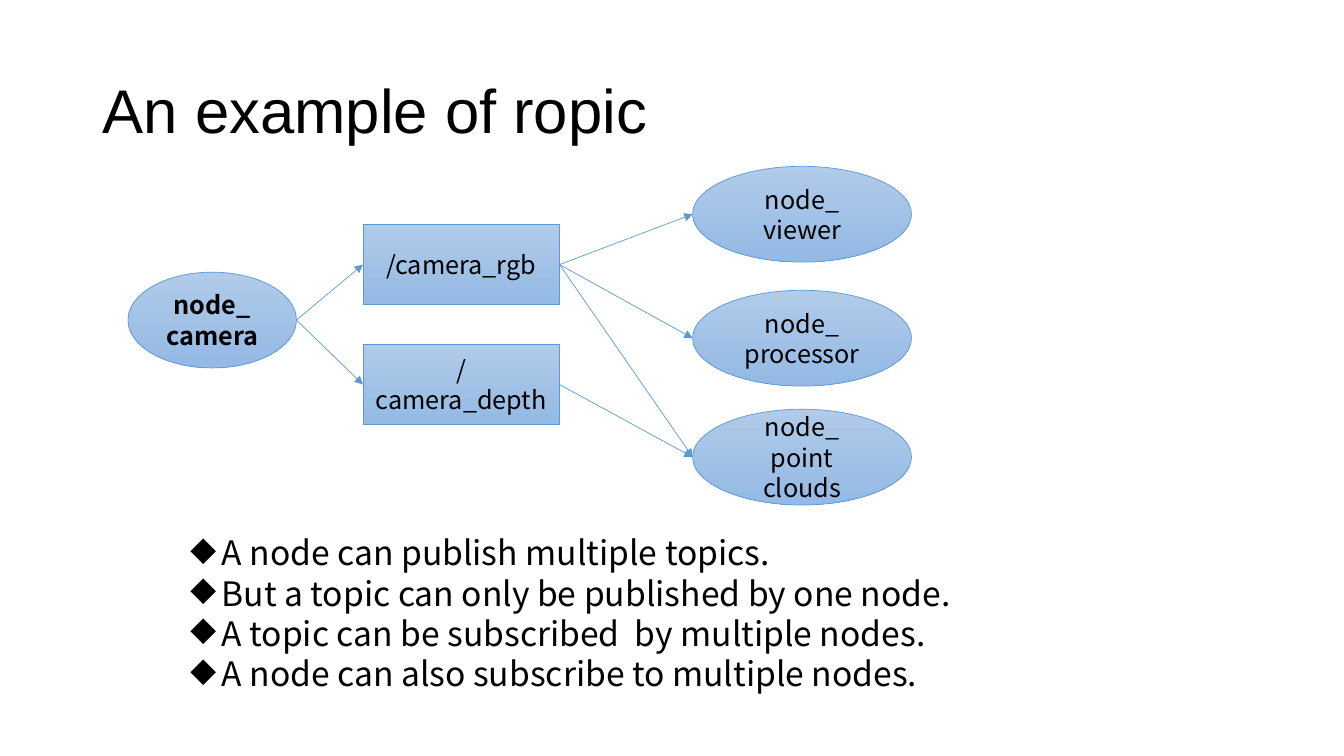
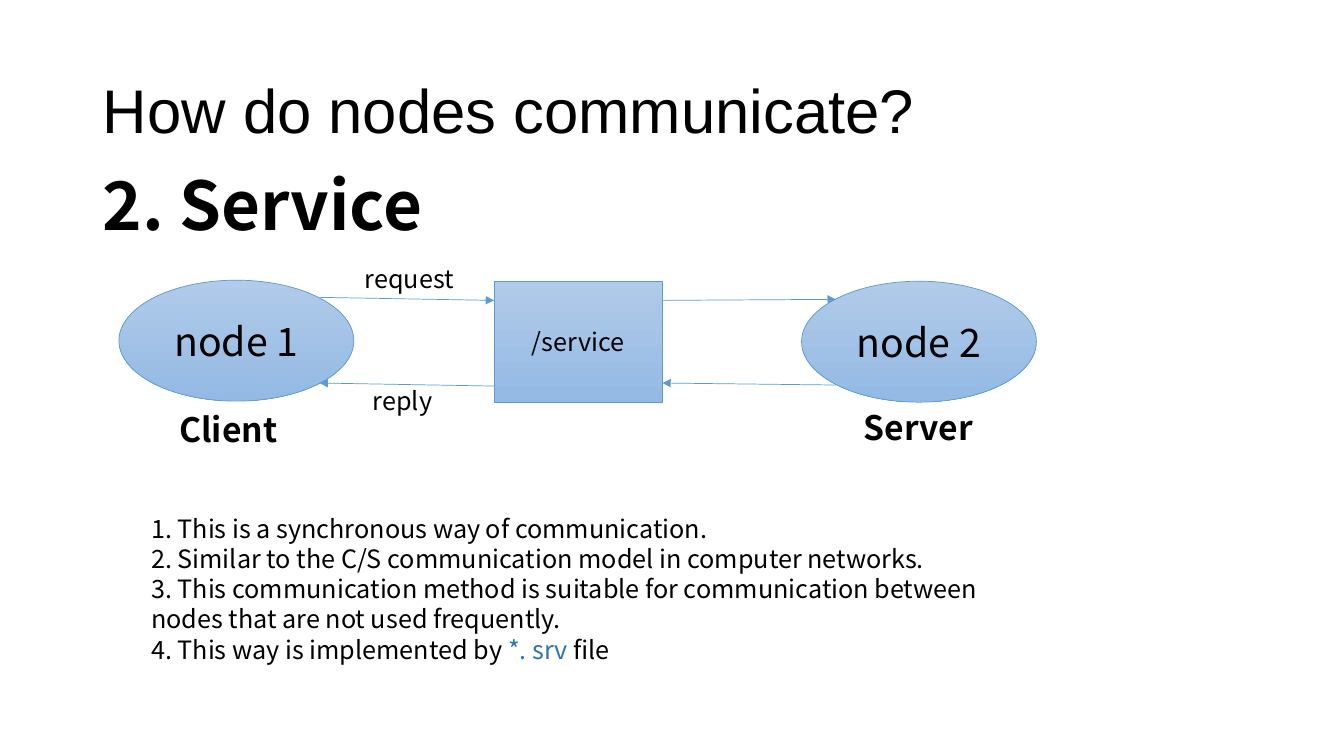
from itertools import cycle

from lxml.etree import SubElement
from pptx import Presentation
from pptx.dml.color import RGBColor
from pptx.enum.shapes import MSO_CONNECTOR as LINK, MSO_SHAPE as SHAPE
from pptx.enum.text import MSO_ANCHOR as ANCHOR, PP_ALIGN as ALIGN
from pptx.oxml.ns import qn
from pptx.util import Inches, Pt

BLACK = RGBColor(0x00, 0x00, 0x00)
BLUE = RGBColor(0x2E, 0x75, 0xB6)
EDGE = RGBColor(0x5B, 0x9B, 0xD5)
LIGHT = RGBColor(0xB1, 0xCB, 0xE9)
DARK = RGBColor(0x93, 0xB9, 0xE4)
SANS = "Noto Sans CJK SC"


def write(frame, *lines, size=18, font=SANS, bold=False, align=ALIGN.LEFT,
          anchor=ANCHOR.TOP, space=None, bullet=None):
    """Write one paragraph per line; a tuple's parts alternate black and blue."""
    frame.word_wrap = True
    frame.vertical_anchor = anchor
    for i, line in enumerate(lines):
        para = frame.add_paragraph() if i else frame.paragraphs[0]
        para.alignment = align
        if space:
            para.line_spacing = space
        if bullet:
            props = para._p.get_or_add_pPr()
            props.set("marL", str(Inches(0.31)))
            props.set("indent", str(-Inches(0.31)))
            SubElement(props, qn("a:buChar"), char=bullet)
        parts = line if isinstance(line, tuple) else (line,)
        for part, color in zip(parts, cycle((BLACK, BLUE))):
            run = para.add_run()
            run.text = part
            run.font.name = font
            run.font.size = Pt(size)
            run.font.bold = bold
            run.font.color.rgb = color


def node(slide, kind, x, y, w, h, *lines, **style):
    """Draw a shaded shape with centred text."""
    shape = slide.shapes.add_shape(
        kind, Inches(x), Inches(y), Inches(w), Inches(h))
    shape.shadow.inherit = False
    shape.fill.gradient()
    shape.fill.gradient_angle = 270
    for stop, color in zip(shape.fill.gradient_stops, (LIGHT, DARK)):
        stop.color.rgb = color
    shape.line.color.rgb = EDGE
    shape.line.width = Pt(0.5)
    write(shape.text_frame, *lines, align=ALIGN.CENTER,
          anchor=ANCHOR.MIDDLE, **style)
    return shape


deck = Presentation()
deck.slide_width, deck.slide_height = Inches(13.33), Inches(7.5)

# Titles
slides = []
for text in ("An example of ropic", "How do nodes communicate?"):
    slide = deck.slides.add_slide(deck.slide_layouts[5])
    title = slide.shapes.title
    title.left, title.top = Inches(0.92), Inches(0.4)
    title.width, title.height = Inches(11.5), Inches(1.45)
    write(title.text_frame, text, size=44, font="Arial",
          anchor=ANCHOR.MIDDLE, space=0.9)
    slides.append(slide)
topic, service = slides
arrows = []

# Topic graph
camera = node(topic, SHAPE.OVAL, 1.27, 2.7, 1.67, 0.95,
              "node_", "camera", bold=True)
rgb, depth = boxes = [
    node(topic, SHAPE.RECTANGLE, 3.6, y, 1.95, 0.79, name)
    for y, name in ((2.23, "/camera_rgb"), (3.42, "/camera_depth"))]
viewer, worker, clouds = [
    node(topic, SHAPE.OVAL, 6.87, y, 2.17, 0.95, "node_", name)
    for y, name in ((1.65, "viewer"), (2.88, "processor"),
                    (4.06, "point clouds"))]

for src, dst in ((camera, rgb), (camera, depth), (rgb, viewer),
                 (rgb, worker), (rgb, clouds), (depth, clouds)):
    arrow = topic.shapes.add_connector(
        LINK.STRAIGHT, src.left + src.width, src.top + src.height // 2,
        dst.left, dst.top + dst.height // 2)
    if src in boxes:
        arrow.begin_connect(src, 3)
    if dst in boxes:
        arrow.end_connect(dst, 1)
    arrows.append(arrow)

# Service graph
for x, y, name in ((1.18, 2.78, "node 1"), (7.95, 2.79, "node 2")):
    node(service, SHAPE.OVAL, x, y, 2.33, 1.2, name, size=28)
node(service, SHAPE.RECTANGLE, 4.9, 2.79, 1.67, 1.2, "/service")

for ends in ((3.17, 2.95, 4.9, 2.98), (4.9, 3.83, 3.17, 3.8),
             (6.57, 2.98, 8.29, 2.97), (8.29, 3.82, 6.57, 3.8)):
    arrows.append(service.shapes.add_connector(
        LINK.STRAIGHT, *[Inches(v) for v in ends]))

for arrow in arrows:
    arrow.line.color.rgb = EDGE
    arrow.line.width = Pt(0.5)
    SubElement(arrow.line._get_or_add_ln(), qn("a:tailEnd"), type="triangle")
    SubElement(arrow._element.spPr, qn("a:effectLst"))

# Labels and notes
points = ("A node can publish multiple topics.",
          "But a topic can only be published by one node.",
          "A topic can be subscribed  by multiple nodes.",
          "A node can also subscribe to multiple nodes.")
facts = ("1. This is a synchronous way of communication.",
         "2. Similar to the C/S communication model in computer networks.",
         "3. This communication method is suitable for communication between "
         "nodes that are not used frequently.",
         ("4. This way is implemented by ", "*. srv ", "file"))
head = dict(size=24, bold=True)
for slide, x, y, w, h, lines, style in (
        (topic, 1.79, 5.23, 7.79, 2.02, points, dict(size=24, bullet="◆")),
        (service, 0.92, 1.66, 11.5, 0.82, ["2. Service"],
         dict(size=48, bold=True, space=0.9)),
        (service, 3.52, 2.56, 1.67, 0.4, ["request"], {}),
        (service, 3.6, 3.77, 1.59, 0.4, ["reply"], {}),
        (service, 1.68, 4.01, 1.91, 0.5, ["Client"], head),
        (service, 8.47, 3.99, 1.3, 0.5, ["Server"], head),
        (service, 1.4, 5.04, 8.88, 1.62, facts, {})):
    box = slide.shapes.add_textbox(
        Inches(x), Inches(y), Inches(w), Inches(h))
    write(box.text_frame, *lines, **style)

deck.save("out.pptx")
